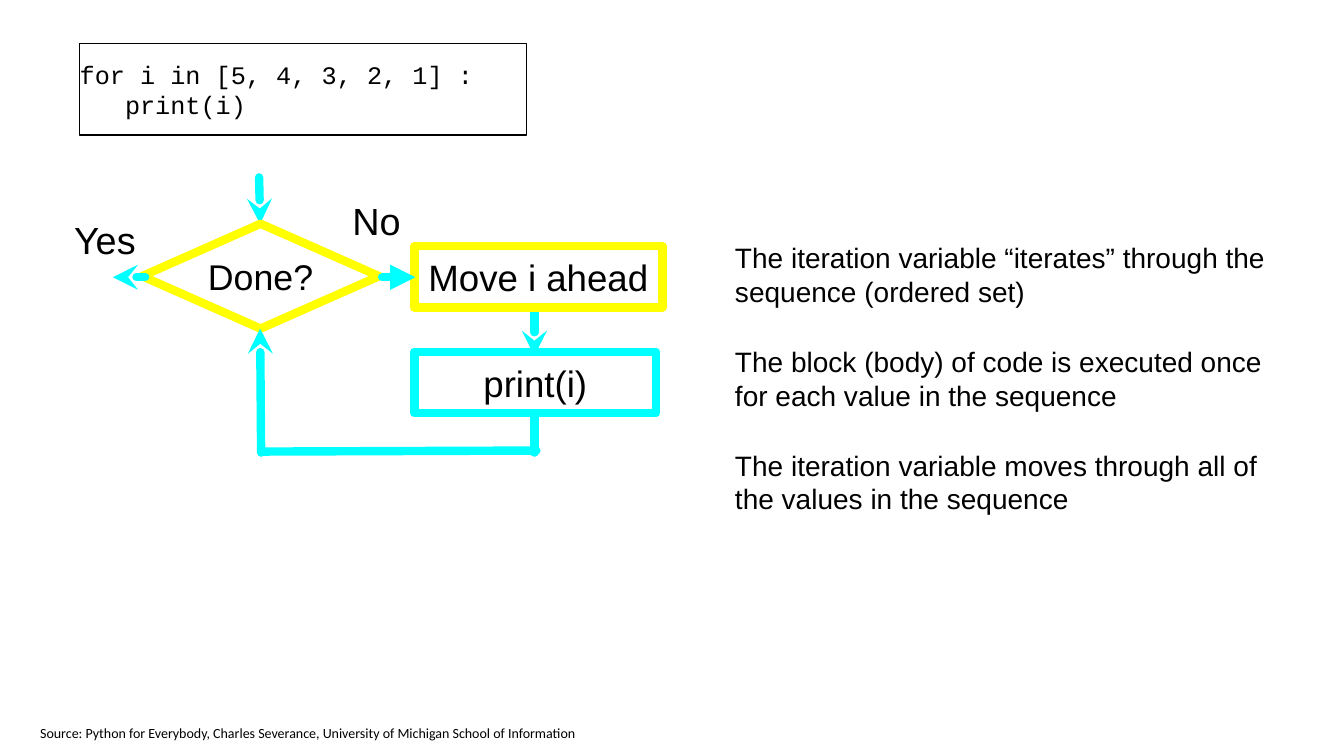
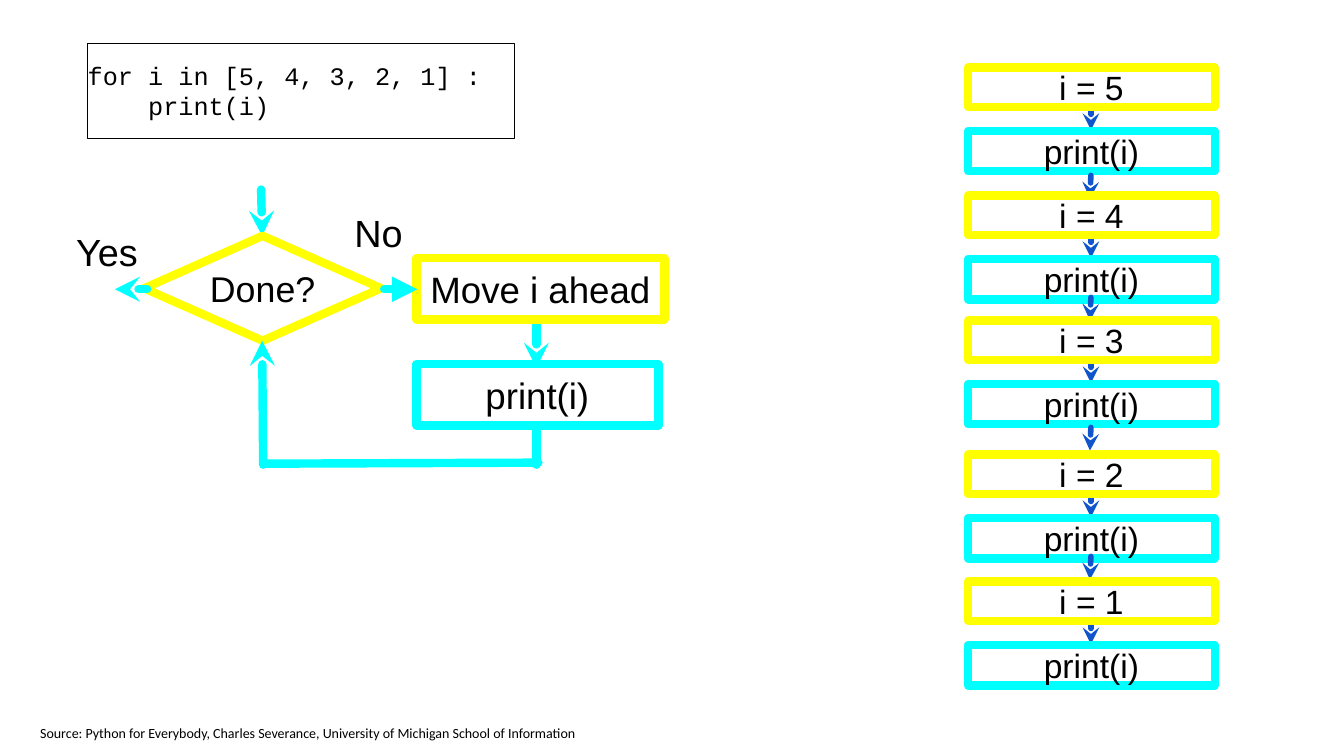
"""Build two slides that explain a definite for loop with a flowchart."""
from dataclasses import dataclass

from lxml import etree
from pptx import Presentation
from pptx import util as u
from pptx.dml.color import RGBColor
from pptx.enum import shapes, text
from pptx.oxml import ns

PX = 9144


@dataclass(frozen=True)
class Theme:
    black: str = "000000"
    yellow: str = "FFFF00"
    cyan: str = "00FFFF"
    blue: str = "1155CC"
    sans: str = "Arial"
    mono: str = "Courier New"
    source: str = "Calibri"
    thick: float = 6
    medium: float = 4
    thin: float = 0.75
    label: float = 27
    node: float = 26.2
    decision: float = 25.5
    step: float = 24
    body: float = 20
    code: float = 18
    footer: float = 10


theme = Theme()
RECTANGLE = shapes.MSO_SHAPE.RECTANGLE
DIAMOND = shapes.MSO_SHAPE.DIAMOND
CENTER, LEFT = text.PP_ALIGN.CENTER, text.PP_ALIGN.LEFT


def add_text(slide, kind, at, lines, size, color=None, width=theme.thick, font=theme.sans,
             align=CENTER, insets=(0, 0, 0, 0), wrap=True, before=0):
    """Add an outlined shape, or a plain text box when kind is None."""
    place = [value * PX for value in at]
    if kind is None:
        shape = slide.shapes.add_textbox(*place)
    else:
        shape = slide.shapes.add_shape(kind, *place)
        shape.shadow.inherit = False
        shape.fill.background()
        shape.line.color.rgb = RGBColor.from_string(color)
        shape.line.width = u.Pt(width)
        etree.SubElement(shape.line._get_or_add_ln(), ns.qn("a:round"))
    frame = shape.text_frame
    sides = ("margin_left", "margin_top", "margin_right", "margin_bottom")
    frame_format = {side: inset * PX for side, inset in zip(sides, insets)}
    frame_format |= {"word_wrap": wrap, "vertical_anchor": text.MSO_ANCHOR.MIDDLE}
    for name, value in frame_format.items():
        setattr(frame, name, value)
    for index, line in enumerate(lines):
        paragraph = frame.add_paragraph() if index else frame.paragraphs[0]
        paragraph.alignment = align
        if index and before:
            paragraph.space_before = u.Pt(before)
        run = paragraph.add_run()
        run.text = line
        for name, value in {"name": font, "size": u.Pt(size)}.items():
            setattr(run.font, name, value)
        run.font.color.rgb = RGBColor.from_string(theme.black)


def add_line(slide, ends, tip=None, color=theme.cyan, width=theme.thick):
    """Add a round-capped line with an optional arrowhead at its end."""
    connector = slide.shapes.add_connector(
        shapes.MSO_CONNECTOR.STRAIGHT, *[value * PX for value in ends])
    connector.line.color.rgb = RGBColor.from_string(color)
    connector.line.width = u.Pt(width)
    outline = connector.line._get_or_add_ln()
    outline.set("cap", "rnd")
    etree.SubElement(outline, ns.qn("a:round"))
    if tip:
        etree.SubElement(outline, ns.qn("a:tailEnd"), type=tip)
    etree.SubElement(connector._element.spPr, ns.qn("a:effectLst"))


presentation = Presentation()
presentation.slide_width, presentation.slide_height = 1333 * PX, 750 * PX

lines_below = [
    ((257, 176, 258, 222), "stealth"),
    ((530, 305, 530, 353), "stealth"),
    ((530, 410, 530, 449), None),
]
nodes = [
    (DIAMOND, (141, 222, 235, 104), "Done?", theme.decision, theme.yellow),
    (None, (68, 212, 72, 51), "Yes", theme.label, None),
    (None, (344, 193, 59, 51), "No", theme.label, None),
    (RECTANGLE, (411, 349, 240, 61), "print(i)", theme.node, theme.cyan),
    (RECTANGLE, (411, 244, 246, 61), "Move i ahead", theme.node, theme.yellow),
]
lines_above = [
    ((259, 449, 258, 326), "stealth"),
    ((259, 448, 532, 447), None),
    ((144, 275, 112, 275), "stealth"),
    ((379, 275, 412, 275), "triangle"),
]
pages = [
    (0, 0, (79, 43, 443, 91), "   print(i)"),
    (2, 12, (87, 43, 423, 94), "    print(i)"),
]
slides = []
for right, down, code_at, code_body in pages:
    slide = presentation.slides.add_slide(presentation.slide_layouts[6])
    slides.append(slide)
    add_text(slide, RECTANGLE, code_at, ["for i in [5, 4, 3, 2, 1] :", code_body],
             theme.code, theme.black, theme.thin, theme.mono, LEFT)
    for (x1, y1, x2, y2), tip in lines_below:
        add_line(slide, (x1 + right, y1 + down, x2 + right, y2 + down), tip)
    for kind, (left, top, width, height), label, size, color in nodes:
        add_text(slide, kind, (left + right, top + down, width, height), [label], size, color)
    for (x1, y1, x2, y2), tip in lines_above:
        add_line(slide, (x1 + right, y1 + down, x2 + right, y2 + down), tip)
    add_text(slide, None, (30, 714, 560, 27),
             ["Source: Python for Everybody, Charles Severance, "
              "University of Michigan School of Information"],
             theme.footer, font=theme.source, align=LEFT, insets=(10, 5, 10, 5), wrap=False)

explanation_slide, trace_slide = slides
add_text(explanation_slide, None, (685, 141, 587, 468), [
    "The iteration variable “iterates” through the sequence (ordered set)",
    "The block (body) of code is executed once for each value in the sequence",
    "The iteration variable moves through all of the values in the sequence",
], theme.body, align=LEFT, insets=(44, 3, 3, 3), before=26.2)

steps = [(5, 67, 174), (4, 194, 295), (3, 318, 424), (2, 451, 552), (1, 577, None)]
for value, top, link_top in steps:
    add_line(trace_slide, (1082, top + 39, 1082, top + 62), "stealth", theme.blue, theme.medium)
    add_text(trace_slide, RECTANGLE, (960, top + 63, 245, 40), ["print(i)"],
             theme.step, theme.cyan)
    add_text(trace_slide, RECTANGLE, (960, top, 245, 39), [f"i = {value}"],
             theme.step, theme.yellow)
    if link_top:
        add_line(trace_slide, (1082, link_top, 1081, link_top + 23), "stealth",
                 theme.blue, theme.medium)

presentation.save("out.pptx")
